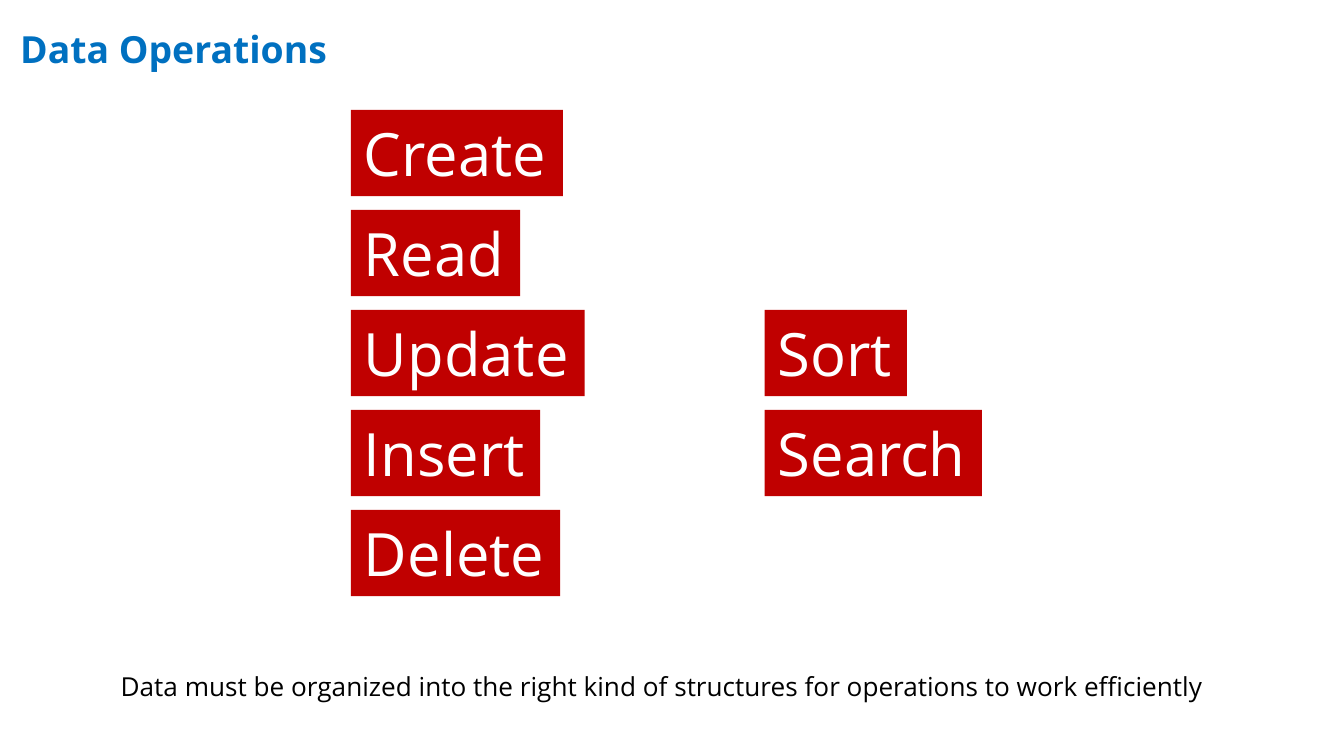
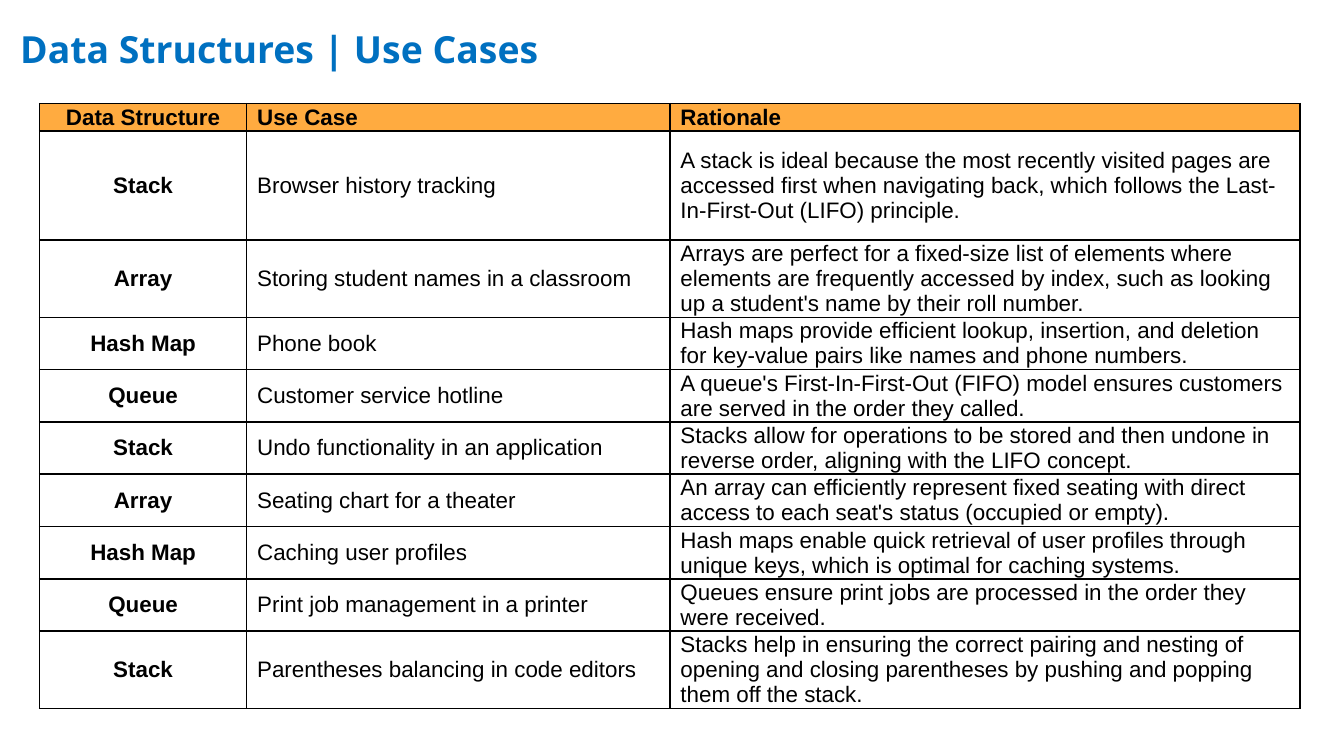
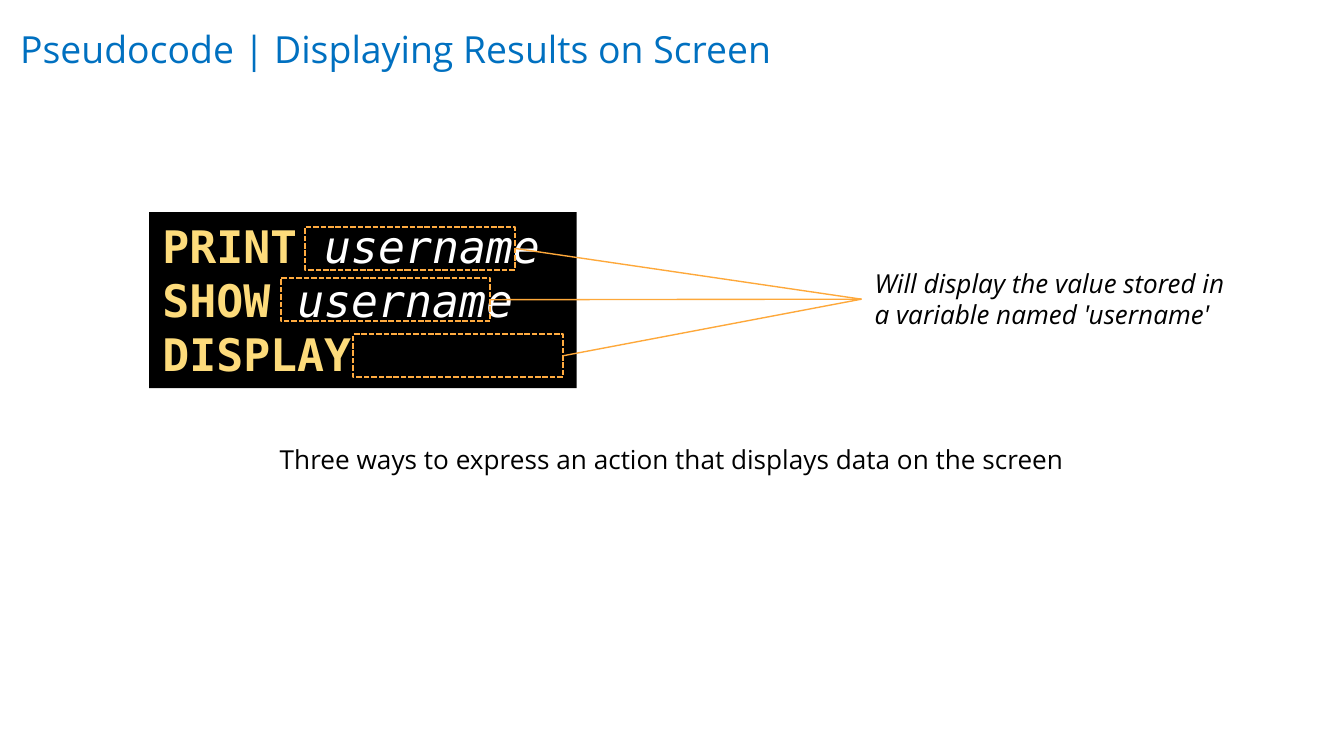
from lxml.etree import SubElement
from pptx import Presentation
from pptx.dml.color import RGBColor
from pptx.enum.dml import MSO_LINE
from pptx.enum.shapes import MSO_CONNECTOR, MSO_SHAPE
from pptx.enum.text import MSO_ANCHOR, MSO_AUTO_SIZE, PP_ALIGN
from pptx.oxml.ns import qn
from pptx.util import Cm, Pt

COLORS = {
    "title": "0070C0",
    "operation": "C00000",
    "header": "FFAB40",
    "callout": "FEA83A",
    "keyword": "FDDB7B",
    "black": "000000",
    "white": "FFFFFF",
}

TITLE = {"name": "Open Sans", "size": Pt(20), "bold": True, "color": "title"}
OPERATION = {"name": "Open Sans", "size": Pt(32), "color": "white"}
BODY = {"name": "Open Sans", "size": Pt(14), "color": "black"}
CELL = {"name": "Arial", "size": Pt(12), "bold": False, "color": "black"}
KEYWORD = {"name": "DejaVu Sans Mono", "size": Pt(24), "bold": True, "color": "keyword"}
VARIABLE = {**KEYWORD, "bold": False, "italic": True, "color": "white"}

CREATE_TO_DELETE = [
    ("Create", 4.01), ("Read", 3.2), ("Update", 4.42), ("Insert", 3.58), ("Delete", 3.96),
]
SORT_AND_SEARCH = [("Sort", 2.69), ("Search", 4.11)]

USE_CASES = [
    ("Data Structure", "Use Case", "Rationale"),
    ("Stack", "Browser history tracking",
     "A stack is ideal because the most recently visited pages are accessed first when "
     "navigating back, which follows the Last-In-First-Out (LIFO) principle."),
    ("Array", "Storing student names in a classroom",
     "Arrays are perfect for a fixed-size list of elements where elements are frequently "
     "accessed by index, such as looking up a student's name by their roll number."),
    ("Hash Map", "Phone book",
     "Hash maps provide efficient lookup, insertion, and deletion for key-value pairs "
     "like names and phone numbers."),
    ("Queue", "Customer service hotline",
     "A queue's First-In-First-Out (FIFO) model ensures customers are served in the "
     "order they called."),
    ("Stack", "Undo functionality in an application",
     "Stacks allow for operations to be stored and then undone in reverse order, "
     "aligning with the LIFO concept."),
    ("Array", "Seating chart for a theater",
     "An array can efficiently represent fixed seating with direct access to each "
     "seat's status (occupied or empty)."),
    ("Hash Map", "Caching user profiles",
     "Hash maps enable quick retrieval of user profiles through unique keys, which is "
     "optimal for caching systems."),
    ("Queue", "Print job management in a printer",
     "Queues ensure print jobs are processed in the order they were received."),
    ("Stack", "Parentheses balancing in code editors",
     "Stacks help in ensuring the correct pairing and nesting of opening and closing "
     "parentheses by pushing and popping them off the stack."),
]
COLUMN_WIDTHS = [3.91, 8.0, 11.91]
ROW_HEIGHTS = [0.5, 2.06, 1.45] + [0.98] * 6 + [1.45]


def rgb(key):
    return RGBColor.from_string(COLORS[key])


def set_attributes(target, values):
    for attribute, value in values.items():
        setattr(target, attribute, value)


def write(paragraph, text, style):
    run = paragraph.add_run()
    run.text = text
    set_attributes(run.font, {k: v for k, v in style.items() if k != "color"})
    run.font.color.rgb = rgb(style["color"])


def add_titled_slide(deck, heading, bold=True):
    slide = deck.slides.add_slide(deck.slide_layouts[5])
    title = slide.shapes.title
    set_attributes(title, {
        "left": Cm(0.13), "top": Cm(0.25), "width": Cm(22.1), "height": Cm(1.3),
    })
    inset = Cm(0.25)
    set_attributes(title.text_frame, {
        "margin_left": inset, "margin_right": inset, "margin_top": inset,
        "margin_bottom": inset, "vertical_anchor": MSO_ANCHOR.TOP,
        "auto_size": MSO_AUTO_SIZE.NONE, "word_wrap": True,
    })
    paragraph = title.text_frame.paragraphs[0]
    paragraph.alignment = PP_ALIGN.LEFT
    write(paragraph, heading, {**TITLE, "bold": bold})
    return slide


def add_text(slide, place, lines, wrap=False, fill=None, align=PP_ALIGN.LEFT):
    box = slide.shapes.add_textbox(*map(Cm, place))
    frame = box.text_frame
    frame.word_wrap = wrap
    frame.auto_size = MSO_AUTO_SIZE.SHAPE_TO_FIT_TEXT
    if fill:
        box.fill.solid()
        box.fill.fore_color.rgb = rgb(fill)
    for index, line in enumerate(lines):
        paragraph = frame.add_paragraph() if index else frame.paragraphs[0]
        paragraph.alignment = align
        for text, style in line:
            write(paragraph, text, style)
    return box


def add_operations(slide, left, first_row, operations):
    for row, (operation, width) in enumerate(operations, first_row):
        place = (left, 2.08 + 1.89 * row, width, 1.63)
        add_text(slide, place, [[(operation, OPERATION)]], fill="operation")


def add_borders(cell):
    properties = cell._tc.get_or_add_tcPr()
    for index, side in enumerate(("lnL", "lnR", "lnT", "lnB")):
        border = SubElement(properties, qn(f"a:{side}"), w=str(Pt(1)))
        fill = SubElement(border, qn("a:solidFill"))
        SubElement(fill, qn("a:srgbClr"), val=COLORS["black"])
        properties.insert(index, border)


def add_use_case_table(slide):
    table = slide.shapes.add_table(
        len(USE_CASES), len(COLUMN_WIDTHS), Cm(0.75), Cm(1.96),
        Cm(sum(COLUMN_WIDTHS)), Cm(sum(ROW_HEIGHTS)),
    ).table
    table.horz_banding = False
    for column, width in zip(table.columns, COLUMN_WIDTHS):
        column.width = Cm(width)
    for row, height in zip(table.rows, ROW_HEIGHTS):
        row.height = Cm(height)
    for row, entries in enumerate(USE_CASES):
        for column, entry in enumerate(entries):
            cell = table.cell(row, column)
            is_header, is_structure = row == 0, column == 0
            set_attributes(cell, {
                "margin_left": Cm(0.2), "margin_right": Cm(0.2),
                "margin_top": Cm(0.02), "margin_bottom": Cm(0.02),
                "vertical_anchor": MSO_ANCHOR.BOTTOM if is_header else MSO_ANCHOR.MIDDLE,
            })
            if is_header:
                cell.fill.solid()
                cell.fill.fore_color.rgb = rgb("header")
            else:
                cell.fill.background()
            add_borders(cell)
            paragraph = cell.text_frame.paragraphs[0]
            paragraph.alignment = PP_ALIGN.CENTER if is_structure else PP_ALIGN.LEFT
            write(paragraph, entry, {**CELL, "bold": is_header or is_structure})


def add_variable_frame(slide, left, top):
    frame = slide.shapes.add_shape(
        MSO_SHAPE.RECTANGLE, Cm(left), Cm(top), Cm(3.96), Cm(0.81))
    frame.shadow.inherit = False
    frame.fill.background()
    frame.line.color.rgb = rgb("header")
    frame.line.width = Pt(1)
    frame.line.dash_style = MSO_LINE.SQUARE_DOT
    return frame


def add_callout_line(slide, variable, note):
    line = slide.shapes.add_connector(MSO_CONNECTOR.STRAIGHT, 0, 0, 0, 0)
    line.begin_connect(variable, 3)
    line.end_connect(note, 1)
    line.line.color.rgb = rgb("callout")
    line.line.width = Pt(0.75)
    SubElement(line._element.spPr, qn("a:effectLst"))


def build_operations(deck):
    slide = add_titled_slide(deck, "Data Operations")
    add_operations(slide, 6.63, 0, CREATE_TO_DELETE)
    add_operations(slide, 14.45, 2, SORT_AND_SEARCH)
    add_text(slide, (2.03, 12.55, 21.31, 0.86), [[(
        "Data must be organized into the right kind of structures "
        "for operations to work efficiently", BODY)]])


def build_use_cases(deck):
    add_use_case_table(add_titled_slide(deck, "Data Structures | Use Cases"))


def build_pseudocode(deck):
    slide = add_titled_slide(deck, "Pseudocode | Displaying Results on Screen", bold=False)
    add_text(slide, (2.82, 4.01, 8.08, 3.33), [
        [(f"{keyword} ", KEYWORD), ("username", VARIABLE)]
        for keyword in ("PRINT", "SHOW", "DISPLAY")
    ], fill="black")
    add_text(slide, (3.1, 8.26, 19.2, 0.86), [[(
        "Three ways to express an action that displays data on the screen", BODY)]],
        wrap=True, align=PP_ALIGN.CENTER)
    note = add_text(slide, (16.28, 4.93, 7.19, 1.45), [[(
        "Will display the value stored in a variable named 'username'",
        {**BODY, "italic": True})]], wrap=True)
    for left, top in ((5.77, 4.29), (5.31, 5.26), (6.68, 6.32)):
        add_callout_line(slide, add_variable_frame(slide, left, top), note)


def main():
    deck = Presentation()
    deck.slide_width, deck.slide_height = Cm(25.4), Cm(14.29)
    build_operations(deck)
    build_use_cases(deck)
    build_pseudocode(deck)
    deck.save("out.pptx")


if __name__ == "__main__":
    main()
